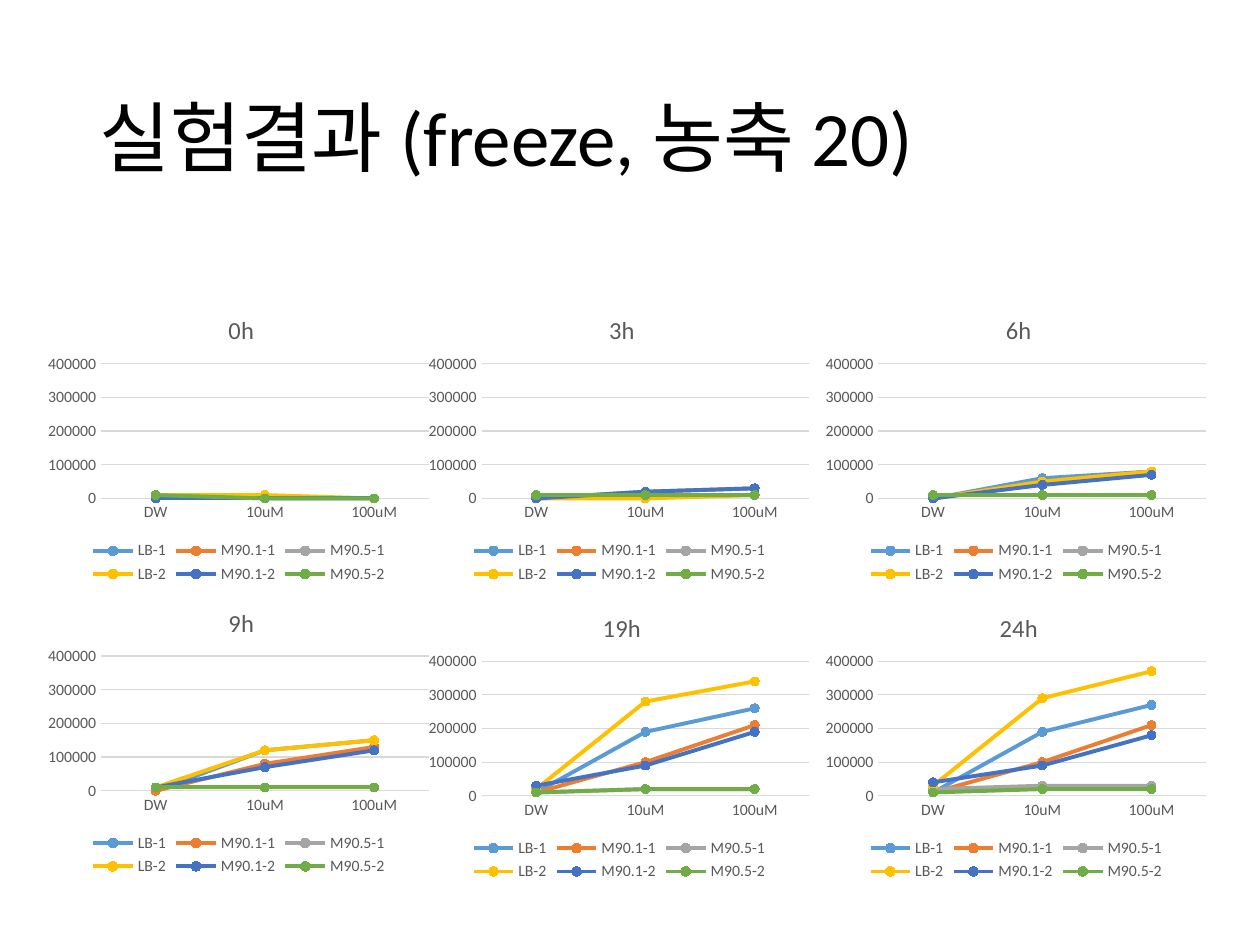
from dataclasses import dataclass

from lxml.etree import SubElement
from pptx import Presentation
from pptx.chart.axis import CategoryAxis, ValueAxis
from pptx.chart.chart import Chart
from pptx.chart.data import CategoryChartData as ChartData
from pptx.chart.series import LineSeries
from pptx.dml.color import RGBColor
from pptx.enum.chart import XL_CHART_TYPE as ChartType
from pptx.enum.chart import XL_LEGEND_POSITION as LegendPosition
from pptx.enum.chart import XL_MARKER_STYLE as MarkerStyle
from pptx.enum.chart import XL_TICK_MARK as TickMark
from pptx.enum.text import MSO_ANCHOR as Anchor
from pptx.oxml import parse_xml
from pptx.oxml.ns import nsdecls, qn
from pptx.slide import Slide
from pptx.util import Pt

FONT = "Calibri"
BLACK = RGBColor(0x00, 0x00, 0x00)
GRAY = RGBColor(0x59, 0x59, 0x59)
GRID = RGBColor(0xD9, 0xD9, 0xD9)
SERIES_COLORS = {
    "LB-1": RGBColor(0x5B, 0x9B, 0xD5),
    "M90.1-1": RGBColor(0xED, 0x7D, 0x31),
    "M90.5-1": RGBColor(0xA5, 0xA5, 0xA5),
    "LB-2": RGBColor(0xFF, 0xC0, 0x00),
    "M90.1-2": RGBColor(0x44, 0x72, 0xC4),
    "M90.5-2": RGBColor(0x70, 0xAD, 0x47),
}
DOSES = ["DW", "10uM", "100uM"]
UNIT = 10000
COLUMNS = [23.04, 240.48, 467.28]
TOP_ROW, BOTTOM_ROW = 166.32, 336.24
CHART_WIDTH, CHART_HEIGHT = 226.8, 169.92


@dataclass
class TimePoint:
    title: str
    left: float
    top: float
    values: list[tuple[int, int, int]]


TIME_POINTS = [
    TimePoint("0h", COLUMNS[0], TOP_ROW,
              [(1, 0, 0), (0, 0, 0), (0, 0, 0), (1, 1, 0), (0, 0, 0), (1, 0, 0)]),
    TimePoint("3h", COLUMNS[1], TOP_ROW,
              [(0, 1, 1), (0, 2, 3), (1, 1, 1), (0, 0, 1), (0, 2, 3), (1, 1, 1)]),
    TimePoint("6h", COLUMNS[2], TOP_ROW,
              [(0, 6, 8), (0, 5, 8), (1, 1, 1), (0, 5, 8), (0, 4, 7), (1, 1, 1)]),
    TimePoint("9h", COLUMNS[0], 333.36,
              [(0, 12, 15), (0, 8, 13), (1, 1, 1), (1, 12, 15), (1, 7, 12), (1, 1, 1)]),
    TimePoint("19h", COLUMNS[1], BOTTOM_ROW,
              [(1, 19, 26), (1, 10, 21), (1, 2, 2), (2, 28, 34), (3, 9, 19), (1, 2, 2)]),
    TimePoint("24h", COLUMNS[2], BOTTOM_ROW,
              [(1, 19, 27), (1, 10, 21), (2, 3, 3), (3, 29, 37), (4, 9, 18), (1, 2, 2)]),
]


def set_layout(parent, index: int, **fractions: float) -> None:
    for old_layout in parent.findall(qn("c:layout")):
        parent.remove(old_layout)
    layout = parse_xml(f"<c:layout {nsdecls('c')}><c:manualLayout/></c:layout>")
    manual = layout[0]
    if "w" in fractions:
        SubElement(manual, qn("c:layoutTarget")).set("val", "inner")
    for mode in ("xMode", "yMode"):
        SubElement(manual, qn(f"c:{mode}")).set("val", "edge")
    for name, fraction in fractions.items():
        SubElement(manual, qn(f"c:{name}")).set("val", f"{fraction:.3f}")
    parent.insert(index, layout)


def style_font(font, size: float, color: RGBColor) -> None:
    font.name = FONT
    font.size = Pt(size)
    font.bold = False
    font.color.rgb = color


def style_axis(axis: CategoryAxis | ValueAxis) -> None:
    axis.major_tick_mark = axis.minor_tick_mark = TickMark.NONE
    style_font(axis.tick_labels.font, 9, GRAY)


def style_line(line, color: RGBColor, width: float) -> None:
    line.color.rgb = color
    line.width = Pt(width)


def style_series(series: LineSeries) -> None:
    color = SERIES_COLORS[series.name]
    series.smooth = False
    style_line(series.format.line, color, 2.25)
    marker = series.marker
    marker.style = MarkerStyle.CIRCLE
    marker.size = 5
    marker.format.fill.solid()
    marker.format.fill.fore_color.rgb = color
    style_line(marker.format.line, color, 0.75)


def style_title(chart: Chart, title: str) -> None:
    chart.has_title = True
    paragraph = chart.chart_title.text_frame.paragraphs[0]
    paragraph.text = title
    style_font(paragraph.font, 14, GRAY)
    title_element = next(chart.element.iter(qn("c:title")))
    set_layout(title_element, 1, x=0.495 - 0.016 * len(title), y=0.06)


def add_time_point(slide: Slide, point: TimePoint) -> None:
    data = ChartData()
    data.categories = DOSES
    for name, values in zip(SERIES_COLORS, point.values):
        data.add_series(name, [value * UNIT for value in values])
    chart = slide.shapes.add_chart(
        ChartType.LINE_MARKERS, Pt(point.left), Pt(point.top),
        Pt(CHART_WIDTH), Pt(CHART_HEIGHT), data,
    ).chart
    style_font(chart.font, 10, BLACK)
    style_title(chart, point.title)

    style_axis(chart.category_axis)
    style_line(chart.category_axis.format.line, GRID, 0.75)
    value_axis = chart.value_axis
    style_axis(value_axis)
    value_axis.minimum_scale, value_axis.maximum_scale = 0, 400000
    value_axis.major_unit = 100000
    value_axis.format.line.fill.background()
    style_line(value_axis.major_gridlines.format.line, GRID, 0.75)

    chart.has_legend = True
    chart.legend.position = LegendPosition.BOTTOM
    chart.legend.include_in_layout = False
    style_font(chart.legend.font, 9, GRAY)

    chart.plots[0].vary_by_categories = False
    for series in chart.plots[0].series:
        style_series(series)
    plot_area = next(chart.element.iter(qn("c:plotArea")))
    set_layout(plot_area, 0, x=0.153, y=0.245, w=0.826, h=0.453)


def add_heading(slide: Slide, text: str) -> None:
    box = slide.shapes.add_textbox(Pt(49.68), Pt(28.8), Pt(620.64), Pt(104.4))
    frame = box.text_frame
    frame.word_wrap = True
    frame.vertical_anchor = Anchor.MIDDLE
    paragraph = frame.paragraphs[0]
    paragraph.text = text
    paragraph.line_spacing = 0.9
    style_font(paragraph.font, 44, BLACK)


presentation = Presentation()
presentation.slide_width, presentation.slide_height = Pt(720), Pt(540)
slide = presentation.slides.add_slide(presentation.slide_layouts[6])
add_heading(slide, "실험결과 (freeze, 농축 20)")
for time_point in TIME_POINTS:
    add_time_point(slide, time_point)
presentation.save("out.pptx")
